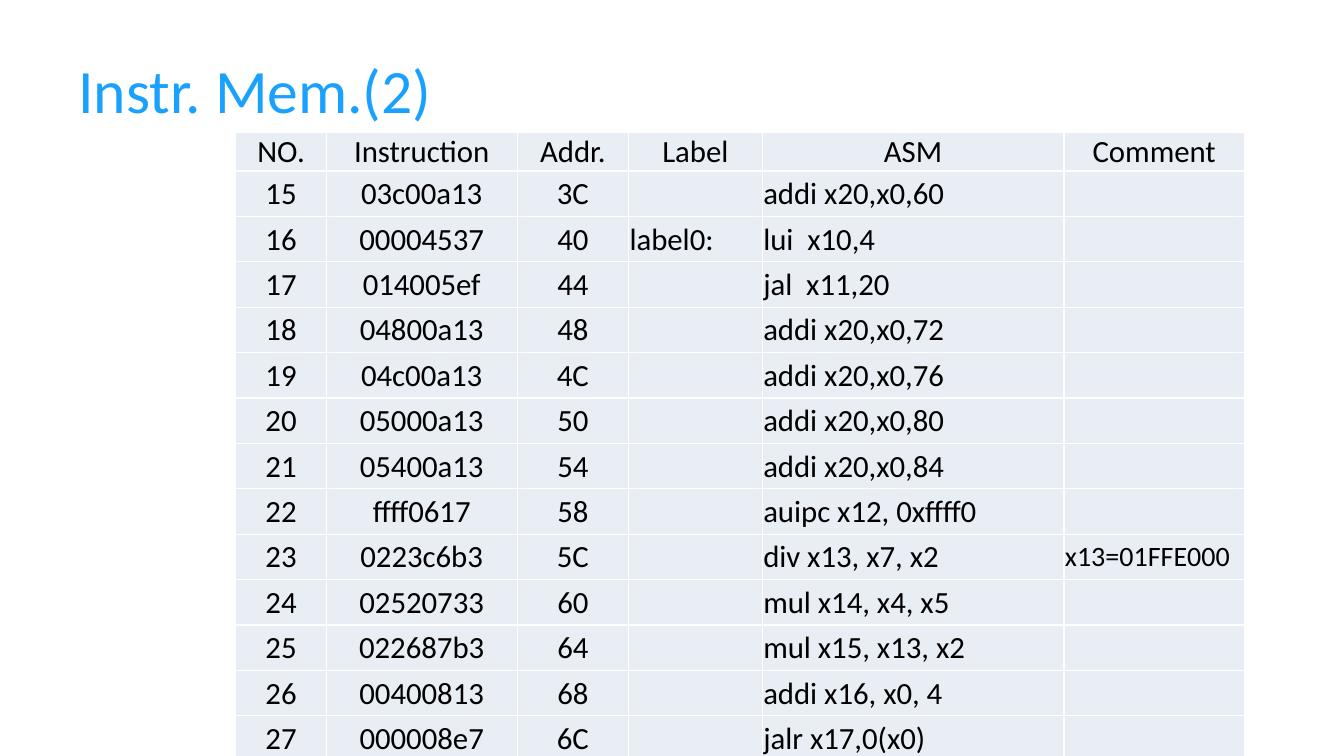
from pptx import Presentation
from pptx.dml.color import RGBColor
from pptx.enum.text import MSO_ANCHOR as Anchor, PP_ALIGN as Align
from pptx.oxml import parse_xml
from pptx.oxml.ns import nsdecls
from pptx.util import Pt

TITLE = "Instr. Mem.(2)"
HEADER = ("NO.", "Instruction", "Addr.", "Label", "ASM", "Comment")
INSTRUCTIONS = [
    ("15", "03c00a13", "3C", "", "addi x20,x0,60", ""),
    ("16", "00004537", "40", "label0:", "lui  x10,4", ""),
    ("17", "014005ef", "44", "", "jal  x11,20", ""),
    ("18", "04800a13", "48", "", "addi x20,x0,72", ""),
    ("19", "04c00a13", "4C", "", "addi x20,x0,76", ""),
    ("20", "05000a13", "50", "", "addi x20,x0,80", ""),
    ("21", "05400a13", "54", "", "addi x20,x0,84", ""),
    ("22", "ffff0617", "58", "", "auipc x12, 0xffff0", ""),
    ("23", "0223c6b3", "5C", "", "div x13, x7, x2", "x13=01FFE000"),
    ("24", "02520733", "60", "", "mul x14, x4, x5", ""),
    ("25", "022687b3", "64", "", "mul x15, x13, x2", ""),
    ("26", "00400813", "68", "", "addi x16, x0, 4", ""),
    ("27", "000008e7", "6C", "", "jalr x17,0(x0)", ""),
]
COLUMN_WIDTHS = (64.5, 136.5, 79.5, 95.5, 215.5, 129)
HEADER_HEIGHT, ROW_HEIGHT = 27.6, 32.45
TABLE_LEFT, TABLE_TOP = 168.5, 94.5
CENTRED_COLUMNS = 3
COMMENT_COLUMN = 5


def colour(code):
    return RGBColor.from_string(code)


def add_span(para, text, size, code):
    span = para.add_run()
    span.text = text
    span.font.name = "Calibri"
    span.font.size = Pt(size)
    span.font.color.rgb = colour(code)


def add_borders(cell):
    properties = cell._tc.get_or_add_tcPr()
    for index, side in enumerate(("lnL", "lnR", "lnT", "lnB")):
        properties.insert(index, parse_xml(
            f'<a:{side} {nsdecls("a")} w="12700"><a:solidFill>'
            f'<a:srgbClr val="FFFFFF"/></a:solidFill></a:{side}>'))


def fill_cell(cell, text, size, align):
    cell.fill.solid()
    cell.fill.fore_color.rgb = colour("E9EDF4")
    cell.vertical_anchor = Anchor.MIDDLE
    cell.margin_left = cell.margin_right = cell.margin_top = Pt(0.75)
    cell.margin_bottom = Pt(0)
    add_borders(cell)
    if text:
        para = cell.text_frame.paragraphs[0]
        para.alignment = align
        add_span(para, text, size, "000000")


def add_title(page):
    box = page.shapes.add_textbox(Pt(49), Pt(26), Pt(736), Pt(75))
    box.text_frame.word_wrap = True
    box.text_frame.vertical_anchor = Anchor.MIDDLE
    add_span(box.text_frame.paragraphs[0], TITLE, 44, "19A1FD")


def add_instruction_table(page):
    rows = [HEADER] + INSTRUCTIONS
    heights = [HEADER_HEIGHT] + [ROW_HEIGHT] * len(INSTRUCTIONS)
    table = page.shapes.add_table(
        len(rows), len(HEADER), Pt(TABLE_LEFT), Pt(TABLE_TOP),
        Pt(sum(COLUMN_WIDTHS)), Pt(sum(heights))).table
    table.horz_banding = False
    table.first_row = False
    for column, width in zip(table.columns, COLUMN_WIDTHS):
        column.width = Pt(width)
    for row_index, (row, height) in enumerate(zip(rows, heights)):
        table.rows[row_index].height = Pt(height)
        for column_index, text in enumerate(row):
            centred = row_index == 0 or column_index < CENTRED_COLUMNS
            small = row_index > 0 and column_index == COMMENT_COLUMN
            fill_cell(table.cell(row_index, column_index), text,
                      20 if small else 22,
                      Align.CENTER if centred else Align.LEFT)


def main():
    deck = Presentation()
    deck.slide_width, deck.slide_height = Pt(960), Pt(540)
    page = deck.slides.add_slide(deck.slide_layouts[6])
    add_title(page)
    add_instruction_table(page)
    deck.save("out.pptx")


if __name__ == "__main__":
    main()
